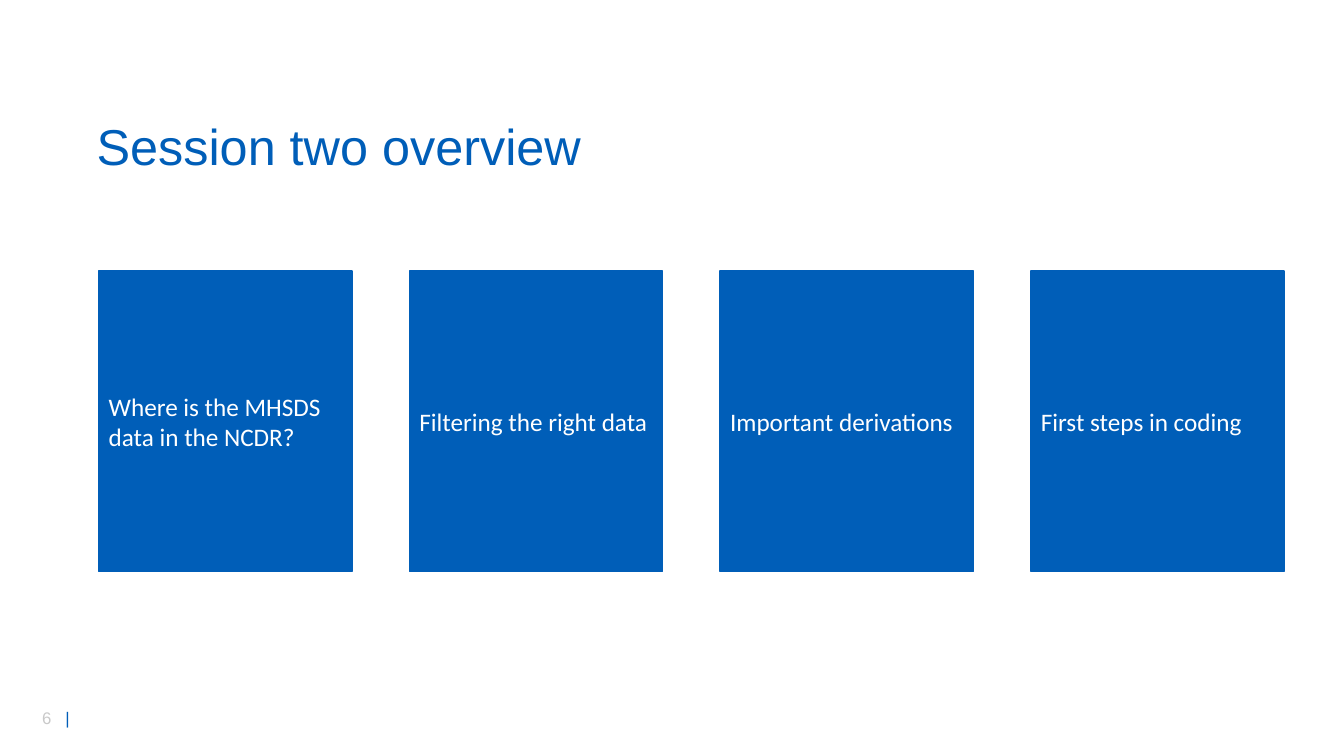
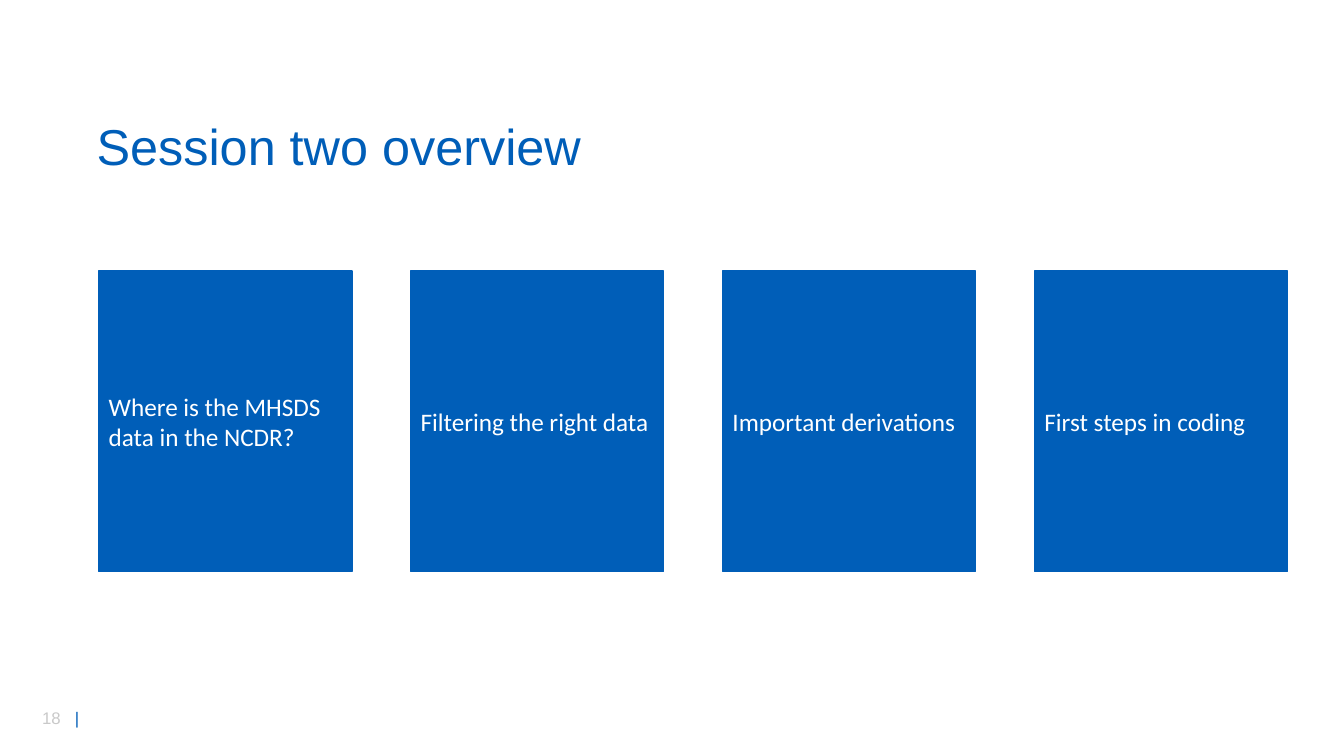
"""Build the two session overview slides."""
import pptx
import pptx.dml.color
import pptx.enum.shapes
import pptx.enum.text
import pptx.util

Cm = pptx.util.Cm
COLOURS = {"blue": "005EB8", "grey": "C9C9C9", "white": "FFFFFF"}
TITLE = "Session two overview"
TOPICS = (
    "Where is the MHSDS data in the NCDR?",
    "Filtering the right data",
    "Important derivations",
    "First steps in coding",
)
TITLE_BOX = (2.18, 2.9, 29.57, 1.7)
NUMBER_BOX = (0.81, 17.7, 1.8, 0.76)
CARD_WIDTH = 6.38
PAGES = (
    (6, (2.49, 6.83, 29.87, 7.57)),
    (18, (2.49, 6.83, 29.96, 7.57)),
)


def colour(name):
    return pptx.dml.color.RGBColor.from_string(COLOURS[name])


def add_span(para, text, font, size, colour_name):
    span = para.add_run()
    span.text = text
    span.font.name = font
    span.font.size = pptx.util.Pt(size)
    span.font.color.rgb = colour(colour_name)
    return span


def place_title(page, box):
    title = page.shapes.title
    title.left, title.top, title.width, title.height = map(Cm, box)
    frame = title.text_frame
    frame.auto_size = pptx.enum.text.MSO_AUTO_SIZE.NONE
    frame.vertical_anchor = pptx.enum.text.MSO_ANCHOR.MIDDLE
    para = frame.paragraphs[0]
    para.alignment = pptx.enum.text.PP_ALIGN.LEFT
    para.line_spacing = 0.9
    add_span(para, TITLE, "Arial", 36, "blue")


def place_page_number(page, box, number):
    frame = page.shapes.add_textbox(*map(Cm, box)).text_frame
    frame.word_wrap = True
    para = frame.paragraphs[0]
    add_span(para, str(number), "Arial", 12, "grey")
    gap = add_span(para, " ", "Arial", 12, "grey")
    gap.font._element.set("spc", "670")
    add_span(para, "|", "Arial", 12, "blue")


def place_card(page, box, topic):
    card = page.shapes.add_shape(
        pptx.enum.shapes.MSO_SHAPE.RECTANGLE, *map(Cm, box))
    card.shadow.inherit = False
    card.fill.solid()
    card.fill.fore_color.rgb = colour("blue")
    card.line.color.rgb = colour("blue")
    card.line.width = pptx.util.Pt(1)
    frame = card.text_frame
    frame.word_wrap = True
    frame.vertical_anchor = pptx.enum.text.MSO_ANCHOR.MIDDLE
    para = frame.paragraphs[0]
    para.alignment = pptx.enum.text.PP_ALIGN.LEFT
    add_span(para, topic, "Calibri", 18, "white")


def place_cards(page, box):
    left, top, width, height = box
    pitch = (width - CARD_WIDTH) / (len(TOPICS) - 1)
    for index, topic in enumerate(TOPICS):
        place_card(page, (left + index * pitch, top, CARD_WIDTH, height), topic)


def add_overview(deck, number, cards_box):
    page = deck.slides.add_slide(deck.slide_layouts.get_by_name("Title Only"))
    place_page_number(page, NUMBER_BOX, number)
    place_title(page, TITLE_BOX)
    place_cards(page, cards_box)


def main():
    deck = pptx.Presentation()
    deck.slide_width = Cm(33.87)
    deck.slide_height = Cm(19.05)
    for number, cards_box in PAGES:
        add_overview(deck, number, cards_box)
    deck.save("out.pptx")


if __name__ == "__main__":
    main()
